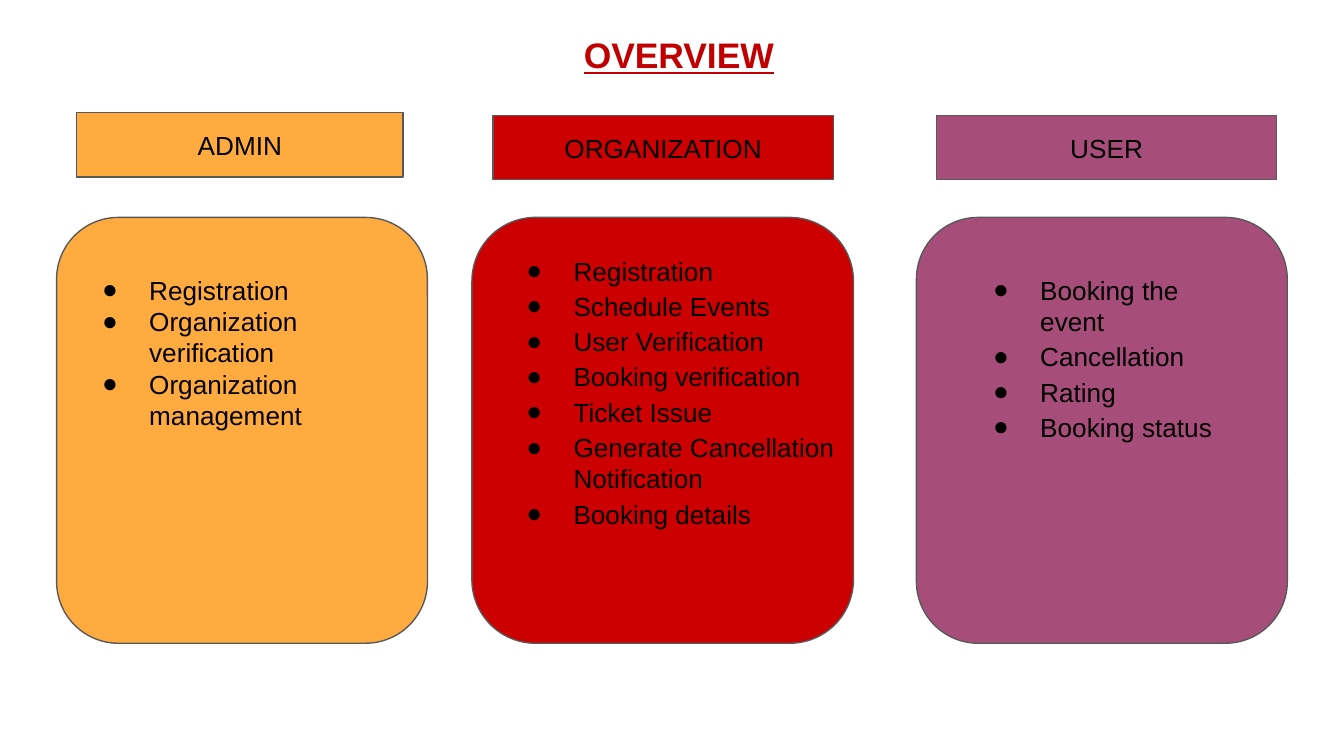
from lxml import etree
from pptx import Presentation
from pptx import util as u
from pptx.dml.color import RGBColor
from pptx.enum import shapes, text
from pptx.oxml import ns

BLACK = RGBColor(0x00, 0x00, 0x00)
GREY = RGBColor(0x59, 0x59, 0x59)
AMBER = RGBColor(0xFF, 0xAB, 0x40)
RED = RGBColor(0xCC, 0x00, 0x00)
PLUM = RGBColor(0xA6, 0x4D, 0x79)
CRIMSON = RGBColor(0xC0, 0x00, 0x00)

BODY = {"name": "Arial", "size": u.Pt(14)}
TITLE = {"name": "Arial", "size": u.Pt(19), "bold": True, "underline": True}
SIDES = ("margin_left", "margin_top", "margin_right", "margin_bottom")
FRAME = {"word_wrap": True, **dict.fromkeys(SIDES, u.Cm(0.25))}

HEAD_H, CARD_TOP, CARD_H = 1.22, 4.11, 8.05
COLUMNS = [
    {"name": "ADMIN", "fill": AMBER, "head": (1.45, 2.13, 6.17), "card": (1.07, 7.01),
     "list": (1.3, 4.93, 6.43, 3.51), "indent": 1.27, "gap": 0,
     "items": ["Registration", "Organization verification", "Organization management"]},
    {"name": "ORGANIZATION", "fill": RED, "head": (9.32, 2.18, 6.43), "card": (8.92, 7.21),
     "list": (9.32, 4.57, 7.01, 6.35), "indent": 1.27, "gap": 2.1,
     "items": ["Registration", "Schedule Events", "User Verification",
               "Booking verification", "Ticket Issue",
               "Generate Cancellation Notification", "Booking details"]},
    {"name": "USER", "fill": PLUM, "head": (17.7, 2.18, 6.43), "card": (17.32, 7.01),
     "list": (17.96, 4.93, 5.49, 4.42), "indent": 1.45, "gap": 2.1,
     "items": ["Booking the event", "Cancellation", "Rating", "Booking status"]},
]


def apply(obj, style):
    for key, value in style.items():
        setattr(obj, key, value)


class Deck:
    """Holds the text style and the current slide, and draws each kind of element."""

    def __init__(self, slide, style):
        self.slide = slide
        self.style = style

    def label(self, para, words, style=None, color=BLACK):
        run = para.add_run()
        run.text = words
        apply(run.font, style or self.style)
        run.font.color.rgb = color

    def block(self, kind, box, fill):
        shape = self.slide.shapes.add_shape(kind, *map(u.Cm, box))
        shape.shadow.inherit = False
        shape.fill.solid()
        shape.fill.fore_color.rgb = fill
        shape.line.color.rgb = GREY
        shape.line.width = u.Pt(0.75)
        return shape

    def head(self, box, fill, words):
        frame = self.block(shapes.MSO_SHAPE.RECTANGLE, box, fill).text_frame
        apply(frame, {**FRAME, "vertical_anchor": text.MSO_ANCHOR.MIDDLE})
        frame.paragraphs[0].alignment = text.PP_ALIGN.CENTER
        self.label(frame.paragraphs[0], words)

    def card(self, box, fill):
        self.block(shapes.MSO_SHAPE.ROUNDED_RECTANGLE, box, fill)

    def frame(self, box):
        frame = self.slide.shapes.add_textbox(*map(u.Cm, box)).text_frame
        apply(frame, {**FRAME, "auto_size": text.MSO_AUTO_SIZE.SHAPE_TO_FIT_TEXT})
        return frame

    def title(self, box, words):
        para = self.frame(box).paragraphs[0]
        para.alignment = text.PP_ALIGN.CENTER
        self.label(para, words, TITLE, CRIMSON)

    def list(self, box, items, indent, gap):
        frame = self.frame(box)
        for i, item in enumerate(items):
            para = frame.add_paragraph() if i else frame.paragraphs[0]
            para.space_before = u.Pt(gap)
            self.bullet(para, indent)
            self.label(para, item)

    def bullet(self, para, indent):
        props = para._p.get_or_add_pPr()
        props.set("marL", str(u.Cm(indent)))
        props.set("indent", str(u.Cm(-0.89)))
        color = etree.SubElement(props, ns.qn("a:buClr"))
        etree.SubElement(color, ns.qn("a:srgbClr"), val=str(BLACK))
        etree.SubElement(props, ns.qn("a:buFont"), typeface="Arial")
        etree.SubElement(props, ns.qn("a:buChar"), char="●")


def main():
    show = Presentation()
    show.slide_width, show.slide_height = u.Cm(25.4), u.Cm(14.29)
    deck = Deck(show.slides.add_slide(show.slide_layouts[6]), BODY)
    for col in COLUMNS:
        deck.head((*col["head"], HEAD_H), col["fill"], col["name"])
    for col in COLUMNS:
        left, width = col["card"]
        deck.card((left, CARD_TOP, width, CARD_H), col["fill"])
    for col in COLUMNS:
        deck.list(col["list"], col["items"], col["indent"], col["gap"])
    deck.title((1.12, 0.38, 23.42, 1.32), "OVERVIEW")
    show.save("out.pptx")


if __name__ == "__main__":
    main()
